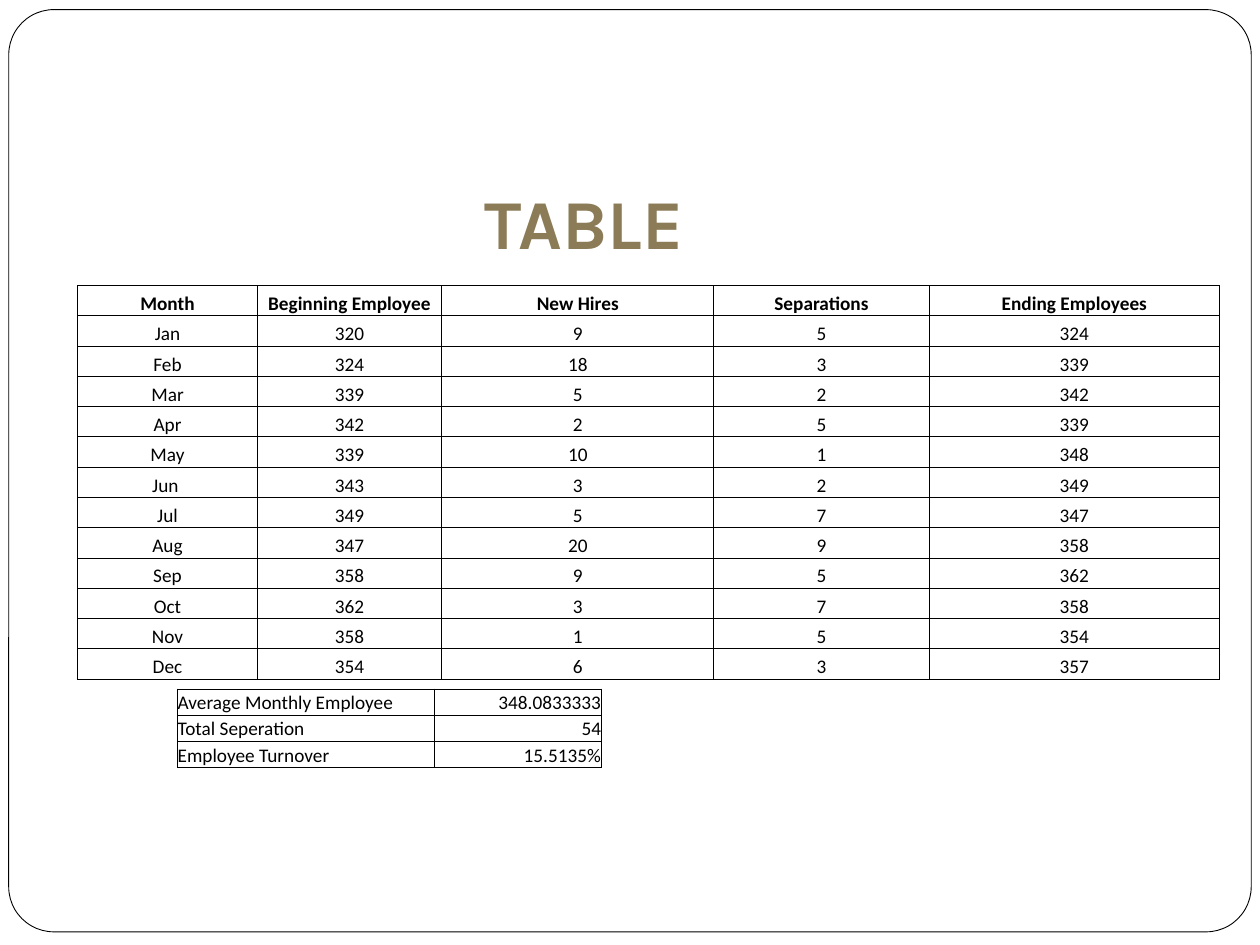
from lxml.etree import SubElement
from pptx import Presentation
from pptx.dml.color import RGBColor
from pptx.enum.shapes import MSO_SHAPE
from pptx.enum.text import MSO_ANCHOR, PP_ALIGN
from pptx.oxml.ns import qn
from pptx.util import Pt

COLOURS = {"paper": "FFFFFF", "ink": "000000", "title": "8B7B57"}
TITLE = {"name": "Karla", "size": Pt(40), "bold": True}
HEADER = {"name": "Calibri", "size": Pt(11), "bold": True}
BODY = {**HEADER, "bold": False}
FLUSH = dict.fromkeys(("margin_left", "margin_top", "margin_right", "margin_bottom"), 0)
CELL = {**FLUSH, "vertical_anchor": MSO_ANCHOR.BOTTOM}

MONTHS = [
    ("Month", "Beginning Employee", "New Hires", "Separations", "Ending Employees"),
    ("Jan", 320, 9, 5, 324),
    ("Feb", 324, 18, 3, 339),
    ("Mar", 339, 5, 2, 342),
    ("Apr", 342, 2, 5, 339),
    ("May", 339, 10, 1, 348),
    ("Jun ", 343, 3, 2, 349),
    ("Jul", 349, 5, 7, 347),
    ("Aug", 347, 20, 9, 358),
    ("Sep", 358, 9, 5, 362),
    ("Oct", 362, 3, 7, 358),
    ("Nov", 358, 1, 5, 354),
    ("Dec", 354, 6, 3, 357),
]
SUMMARY = [
    ("Average Monthly Employee", "348.0833333"),
    ("Total Seperation", "54"),
    ("Employee Turnover", "15.5135%"),
]


class SlideBuilder:
    """Draws styled elements on the current slide."""

    def __init__(self, page):
        self.page = page

    def colour(self, name):
        return RGBColor.from_string(COLOURS[name])

    def apply(self, target, values):
        for name, value in values.items():
            setattr(target, name, value)

    def add_text(self, frame, text, font, colour, align=PP_ALIGN.LEFT):
        para = frame.paragraphs[0]
        para.alignment = align
        span = para.add_run()
        span.text = text
        self.apply(span.font, font)
        span.font.color.rgb = self.colour(colour)

    def panel(self, left, top, width, height, radius):
        shape = self.page.shapes.add_shape(
            MSO_SHAPE.ROUNDED_RECTANGLE, Pt(left), Pt(top), Pt(width), Pt(height))
        shape.adjustments[0] = radius
        shape.shadow.inherit = False
        shape.fill.solid()
        shape.fill.fore_color.rgb = self.colour("paper")
        shape.line.color.rgb = self.colour("ink")
        shape.line.width = Pt(0.5)

    def title(self, text, left, top, width, height):
        box = self.page.shapes.add_textbox(Pt(left), Pt(top), Pt(width), Pt(height))
        self.apply(box.text_frame, {
            "word_wrap": True, "vertical_anchor": MSO_ANCHOR.BOTTOM, "margin_bottom": Pt(7.2)})
        self.add_text(box.text_frame, text, TITLE, "title")

    def border(self, cell):
        properties = cell._tc.get_or_add_tcPr()
        for position, side in enumerate(("lnL", "lnR", "lnT", "lnB")):
            line = SubElement(properties, qn(f"a:{side}"), w=str(Pt(0.5)))
            properties.insert(position, line)
            fill = SubElement(line, qn("a:solidFill"))
            SubElement(fill, qn("a:srgbClr"), val=COLOURS["ink"])

    def table(self, rows, left, top, widths, row_height, aligns, has_header=False):
        table = self.page.shapes.add_table(
            len(rows), len(widths), Pt(left), Pt(top),
            Pt(sum(widths)), Pt(row_height * len(rows))).table
        self.apply(table, {"first_row": has_header, "horz_banding": False})
        for column, width in zip(table.columns, widths):
            column.width = Pt(width)
        for index, (row, values) in enumerate(zip(table.rows, rows)):
            row.height = Pt(row_height)
            font = HEADER if has_header and index == 0 else BODY
            for cell, value, align in zip(row.cells, values, aligns):
                self.apply(cell, CELL)
                cell.fill.background()
                self.border(cell)
                self.add_text(cell.text_frame, str(value), font, "ink", align)


def main():
    deck = Presentation()
    deck.slide_width, deck.slide_height = Pt(720), Pt(540)
    builder = SlideBuilder(deck.slides.add_slide(deck.slide_layouts[6]))
    builder.panel(5, 5.5, 710, 527, 0.049)
    builder.title("TABLE", 270, 67.5, 648, 90)
    builder.table(MONTHS, 44.5, 163.2, [102.5, 105.5, 155.5, 123, 166], 17.3,
                  [PP_ALIGN.CENTER] * 5, has_header=True)
    builder.table(SUMMARY, 101.5, 393.8, [147, 95], 14.9,
                  [PP_ALIGN.LEFT, PP_ALIGN.RIGHT])
    deck.save("out.pptx")


if __name__ == "__main__":
    main()
